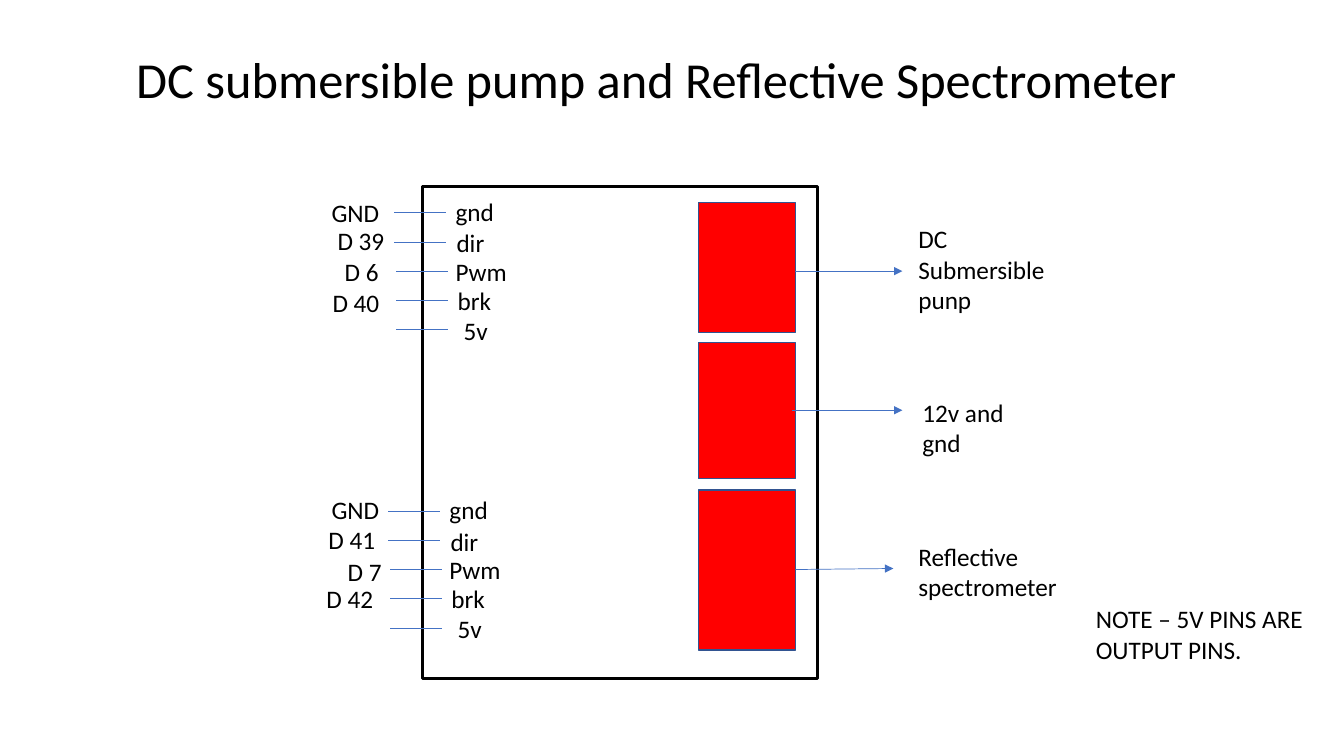
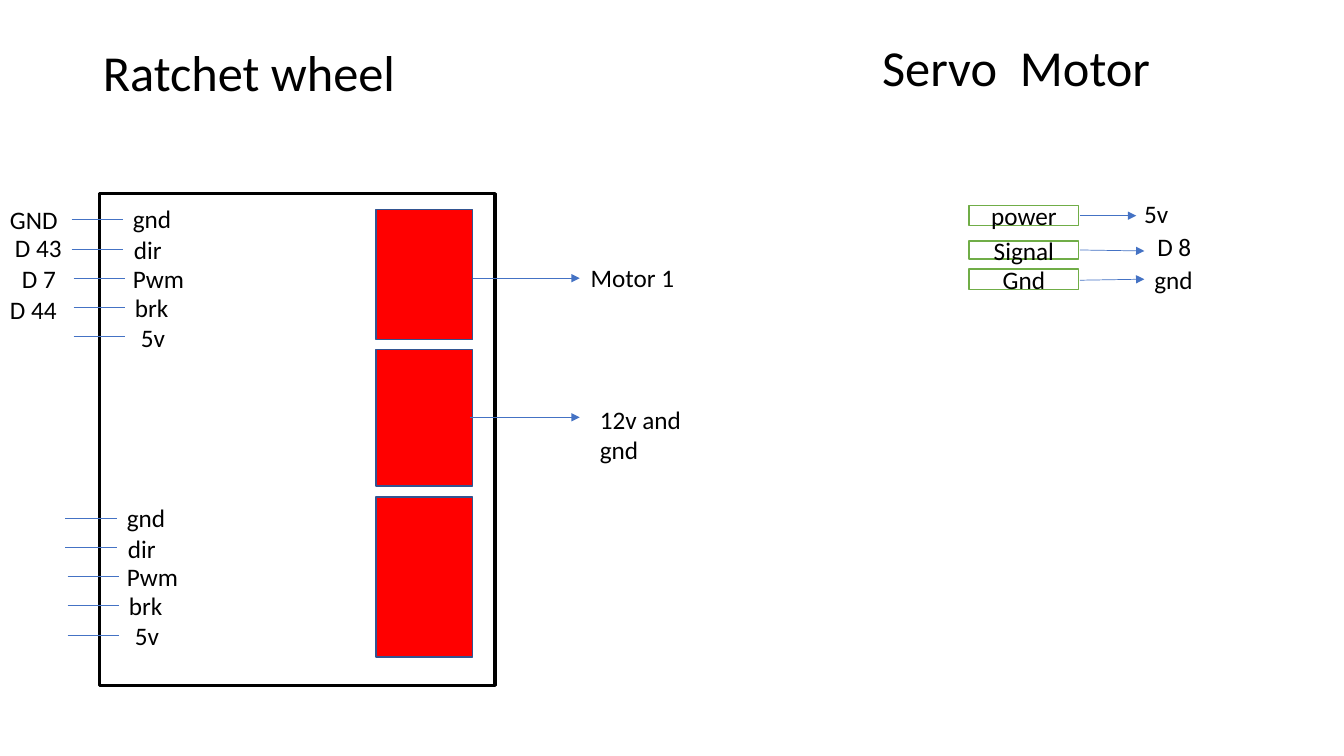
"""Build two wiring slides: motor driver boards and a servo motor."""
from lxml import etree
from pptx import Presentation
from pptx.dml.color import RGBColor
from pptx.enum.shapes import MSO_CONNECTOR, MSO_SHAPE
from pptx.enum.text import MSO_ANCHOR, MSO_AUTO_SIZE, PP_ALIGN
from pptx.oxml.ns import qn
from pptx.util import Inches, Pt

COLORS = {"text": "000000", "board": "000000", "wire": "4472C4", "paper": "FFFFFF",
          "terminal": "FF0000", "terminal_edge": "325491", "servo_edge": "70AD47"}
FONT = "Calibri"
BOARD_WIDTH, BOARD_HEIGHT = 3.92, 4.88
TERMINAL_LEFT, TERMINAL_WIDTH = 2.74, 0.96
TERMINALS = [(0.16, 1.29), (1.55, 1.35), (3.01, 1.59)]
PINS = [("gnd", 0.23, 0.05, -0.28), ("dir", 0.24, 0.36, -0.28), ("Pwm", 0.23, 0.64, -0.26),
        ("brk", 0.25, 0.93, -0.26), ("5v", 0.31, 1.23, -0.26)]
PIN_BLOCKS = [(0, 0), (-0.06, 2.96)]
PIN_PITCH, PIN_LENGTH = 0.29, 0.51
SIGNAL_PLACES = [(-1, 0.06), (-0.94, 0.34), (-0.87, 0.64), (-0.99, 0.95)]

SLIDES = [
    {"title": "DC submersible pump and Reflective Spectrometer",
     "title_box": (1.25, 0.09, 11.5, 1.45),
     "board": (4.19, 1.85),
     "signals": ["GND", "D 39", "D 6", "D 40"],
     "servo_pins": [],
     "wires": [(7.89, 5.65, 8.86, 5.64)],
     "labels": [("DC Submersible punp", 9.01, 2.17, 1.72, 1.01, 18),
                ("Reflective spectrometer", 9.01, 5.32, 1.72, 0.71, 18),
                ("GND", 3.19, 4.85, 0.8, 0.4, 18),
                ("D 41", 3.16, 5.15, 0.8, 0.4, 18),
                ("D 7", 3.35, 5.47, 0.8, 0.4, 18),
                ("D 42", 3.14, 5.74, 0.8, 0.4, 18),
                ("NOTE – 5V PINS ARE OUTPUT PINS.", 10.77, 5.94, 2.35, 0.71, 18)]},
    {"title": "Ratchet wheel",
     "title_box": (0.92, 0.02, 3.92, 1.45),
     "board": (0.99, 1.92),
     "signals": ["GND", "D 43", "D 7", "D 44"],
     "servo_pins": [("power", 2.04, 0.2), ("Signal", 2.39, 0.18), ("Gnd", 2.67, 0.2)],
     "wires": [(10.71, 2.14, 11.27, 2.14), (10.71, 2.48, 11.35, 2.49),
               (10.71, 2.78, 11.35, 2.77)],
     "labels": [("Motor 1", 5.76, 2.55, 1.72, 0.4, 18),
                ("Servo  Motor", 8.65, 0.31, 4.12, 0.71, 36),
                ("5v", 11.25, 1.92, 0.53, 0.4, 18),
                ("D 8", 11.38, 2.25, 0.84, 0.4, 18),
                ("gnd", 11.35, 2.57, 0.8, 0.4, 18)]},
]


def write_text(shape, text, size, alignment=PP_ALIGN.LEFT):
    frame = shape.text_frame
    frame.word_wrap = True
    frame.auto_size = MSO_AUTO_SIZE.NONE
    frame.text = text
    paragraph = frame.paragraphs[0]
    paragraph.alignment = alignment
    paragraph.font.name = FONT
    paragraph.font.size = Pt(size)
    paragraph.font.color.rgb = RGBColor.from_string(COLORS["text"])
    return paragraph


def add_wire(slide, ends, arrow=False):
    wire = slide.shapes.add_connector(MSO_CONNECTOR.STRAIGHT, *map(Inches, ends))
    wire.line.color.rgb = RGBColor.from_string(COLORS["wire"])
    wire.line.width = Pt(0.5)
    properties = wire.line._get_or_add_ln()
    if arrow:
        etree.SubElement(properties, qn("a:tailEnd"), type="triangle")
    etree.SubElement(properties.getparent(), qn("a:effectLst"))


presentation = Presentation()
presentation.slide_width = Inches(13.33)
presentation.slide_height = Inches(7.5)

for content in SLIDES:
    slide = presentation.slides.add_slide(presentation.slide_layouts[5])
    left, top = content["board"]

    title = slide.shapes.title
    title.left, title.top, title.width, title.height = map(Inches, content["title_box"])
    write_text(title, content["title"], 36).line_spacing = 0.9
    title.text_frame.vertical_anchor = MSO_ANCHOR.MIDDLE

    boxes = [("", left, top, BOARD_WIDTH, BOARD_HEIGHT, "paper", "board", 2.25)]
    for offset, height in TERMINALS:
        boxes.append(("", left + TERMINAL_LEFT, top + offset, TERMINAL_WIDTH, height,
                      "terminal", "terminal_edge", 1))
    for name, pin_top, height in content["servo_pins"]:
        boxes.append((name, 9.61, pin_top, 1.09, height, "paper", "servo_edge", 1))
    for text, *place, fill, edge, weight in boxes:
        box = slide.shapes.add_shape(MSO_SHAPE.RECTANGLE, *map(Inches, place))
        box.shadow.inherit = False
        box.fill.solid()
        box.fill.fore_color.rgb = RGBColor.from_string(COLORS[fill])
        box.line.color.rgb = RGBColor.from_string(COLORS[edge])
        box.line.width = Pt(weight)
        if text:
            write_text(box, text, 18, PP_ALIGN.CENTER)
            box.text_frame.vertical_anchor = MSO_ANCHOR.MIDDLE

    labels = [("12v and gnd", left + 4.86, top + 2.04, 1.08, 0.71, 18)]
    for shift_x, shift_y in PIN_BLOCKS:
        for row, (name, name_x, name_y, wire_x) in enumerate(PINS):
            wire_left = left + shift_x + wire_x
            wire_top = top + shift_y + 0.26 + row * PIN_PITCH
            add_wire(slide, (wire_left, wire_top, wire_left + PIN_LENGTH, wire_top))
            labels.append((name, left + shift_x + name_x, top + shift_y + name_y, 0.8, 0.4, 18))
    for signal, (signal_x, signal_y) in zip(content["signals"], SIGNAL_PLACES):
        labels.append((signal, max(left + signal_x, 0), top + signal_y, 0.8, 0.4, 18))

    board_wires = [(left + 3.7, top + 0.84, left + 4.76, top + 0.84),
                   (left + 3.67, top + 2.22, left + 4.76, top + 2.22)]
    for ends in board_wires + content["wires"]:
        add_wire(slide, ends, arrow=True)

    for text, *place, size in labels + content["labels"]:
        write_text(slide.shapes.add_textbox(*map(Inches, place)), text, size)

presentation.save("out.pptx")
